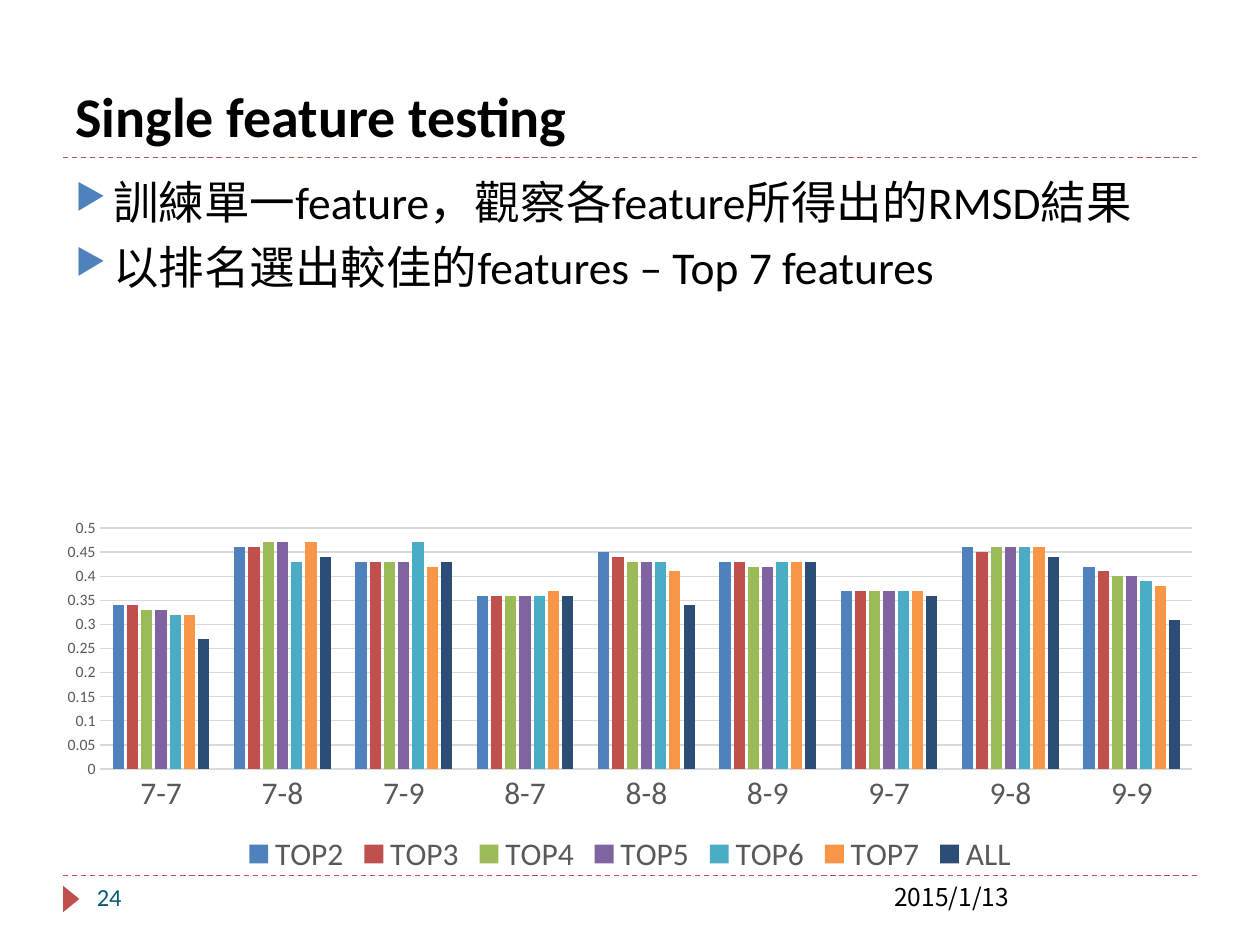
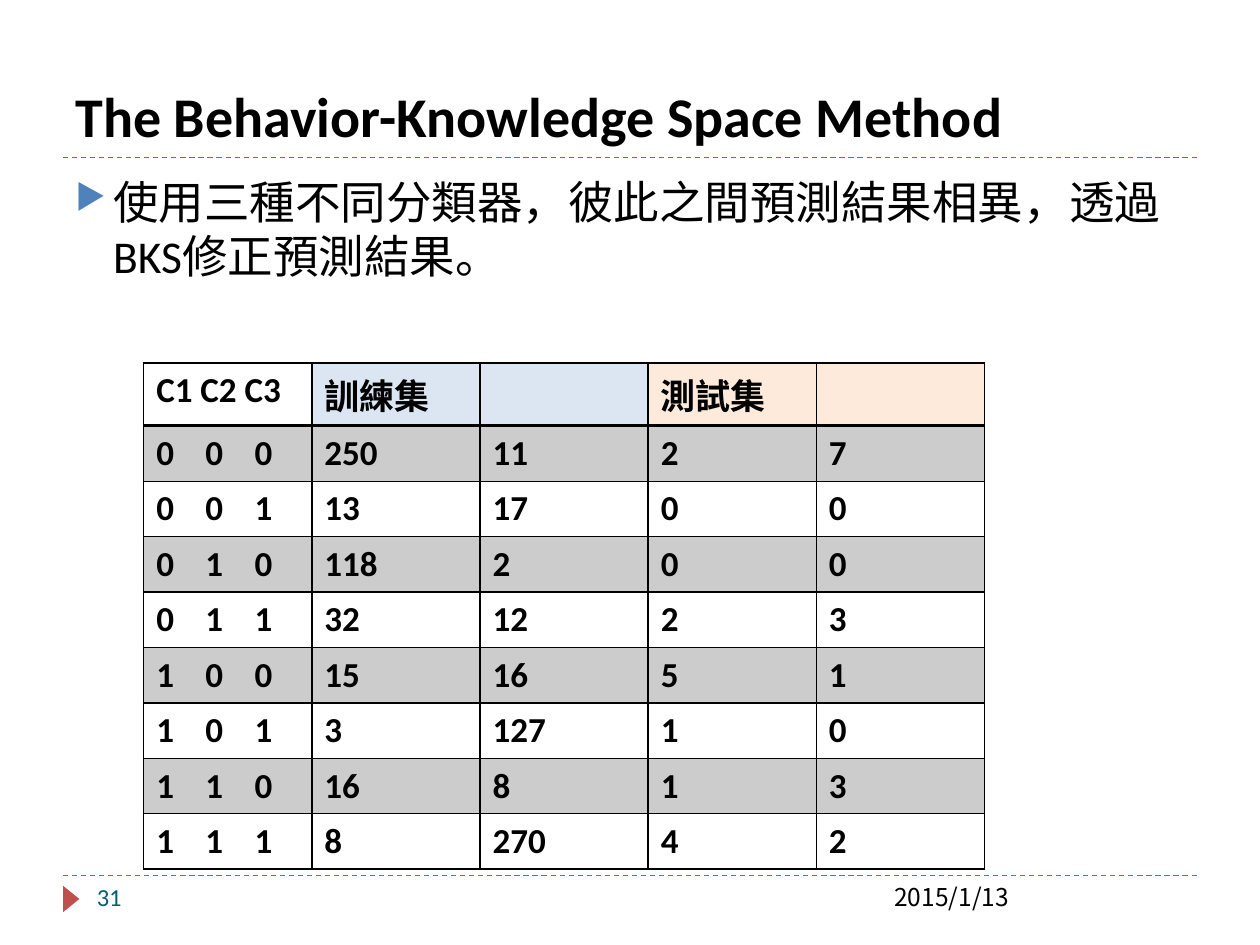
from dataclasses import dataclass

from lxml.etree import SubElement
from pptx import Presentation
from pptx.chart.data import CategoryChartData
from pptx.dml.color import RGBColor
from pptx.enum.chart import XL_CHART_TYPE, XL_LEGEND_POSITION, XL_TICK_MARK
from pptx.enum.dml import MSO_LINE
from pptx.enum.shapes import MSO_CONNECTOR, MSO_SHAPE
from pptx.enum.text import MSO_ANCHOR
from pptx.oxml.ns import qn
from pptx.util import Inches, Pt

# The page is a grid of 20 columns by 15 rows of half-inch squares
COLUMNS, ROWS = 20, 15
MARGIN = 1
CONTENT_WIDTH = COLUMNS - 2 * MARGIN
TITLE_RULE, FOOTER_RULE = 2.5, 13.9


@dataclass(frozen=True)
class Theme:
    font: str = "Calibri"
    date_font: str = "Noto Sans CJK SC"
    text: str = "000000"
    accent: str = "C0504D"
    bullet: str = "4F81BD"
    number: str = "045C75"
    chart_text: str = "595959"
    chart_line: str = "D9D9D9"
    training: str = "DCE6F2"
    testing: str = "FDEADA"
    series: tuple = ("4F81BD", "C0504D", "9BBB59", "8064A2",
                     "4BACC6", "F79646", "2C4D75")
    title_size: int = 32
    body_size: int = 26
    table_size: int = 20
    label_size: int = 18
    footer_size: int = 14
    axis_size: int = 9
    hairline: float = 0.75


THEME = Theme()
DATE = "2015/1/13"

RMSD_GROUPS = ("7-7", "7-8", "7-9", "8-7", "8-8", "8-9", "9-7", "9-8", "9-9")
RMSD_SERIES = {
    "TOP2": (0.34, 0.46, 0.43, 0.36, 0.45, 0.43, 0.37, 0.46, 0.42),
    "TOP3": (0.34, 0.46, 0.43, 0.36, 0.44, 0.43, 0.37, 0.45, 0.41),
    "TOP4": (0.33, 0.47, 0.43, 0.36, 0.43, 0.42, 0.37, 0.46, 0.40),
    "TOP5": (0.33, 0.47, 0.43, 0.36, 0.43, 0.42, 0.37, 0.46, 0.40),
    "TOP6": (0.32, 0.43, 0.47, 0.36, 0.43, 0.43, 0.37, 0.46, 0.39),
    "TOP7": (0.32, 0.47, 0.42, 0.37, 0.41, 0.43, 0.37, 0.46, 0.38),
    "ALL": (0.27, 0.44, 0.43, 0.36, 0.34, 0.43, 0.36, 0.44, 0.31),
}

BKS_HEADER = ("C1 C2 C3", "訓練集", "", "測試集", "")
BKS_HEADER_FILLS = (None, THEME.training, THEME.training,
                    THEME.testing, THEME.testing)
# Counts for each classifier combination, from 000 to 111
BKS_COUNTS = ((250, 11, 2, 7), (13, 17, 0, 0), (118, 2, 0, 0), (32, 12, 2, 3),
              (15, 16, 5, 1), (3, 127, 1, 0), (16, 8, 1, 3), (8, 270, 4, 2))


def grid(*squares):
    return [Inches(square / 2) for square in squares]


def color(value):
    return RGBColor.from_string(value)


def style_font(font, size, value, name=THEME.font, bold=False):
    font.size, font.name, font.bold = Pt(size), name, bold
    font.color.rgb = color(value)


# Text
def add_text(slide, place, text, size, value, name=THEME.font, bold=False,
             anchor=MSO_ANCHOR.TOP):
    frame = slide.shapes.add_textbox(*grid(*place)).text_frame
    frame.word_wrap = True
    frame.vertical_anchor = anchor
    paragraph = frame.paragraphs[0]
    paragraph.text = text
    style_font(paragraph.font, size, value, name, bold)


def add_bullet_mark(paragraph):
    properties = paragraph._p.get_or_add_pPr()
    properties.set("marL", str(Inches(0.3)))
    properties.set("indent", str(-Inches(0.3)))
    bullet_color = SubElement(properties, qn("a:buClr"))
    SubElement(bullet_color, qn("a:srgbClr"), val=THEME.bullet)
    SubElement(properties, qn("a:buSzPct"), val="76000")
    SubElement(properties, qn("a:buChar"), char="▶")


def add_bullets(slide, lines):
    place = grid(MARGIN, 2.66, CONTENT_WIDTH, 10.8)
    frame = slide.shapes.add_textbox(*place).text_frame
    frame.word_wrap = True
    for index, line in enumerate(lines):
        paragraph = frame.add_paragraph() if index else frame.paragraphs[0]
        paragraph.text = line
        add_bullet_mark(paragraph)
        if index:
            paragraph.space_before = Pt(6)
        style_font(paragraph.font, THEME.body_size, THEME.text)


# Shared frame: rules, footer and title
def add_rule(slide, row):
    rule = slide.shapes.add_connector(
        MSO_CONNECTOR.STRAIGHT, *grid(MARGIN, row, COLUMNS - MARGIN, row))
    rule.line.color.rgb = color(THEME.accent)
    rule.line.width = Pt(THEME.hairline)
    rule.line.dash_style = MSO_LINE.DASH
    SubElement(rule._element.spPr, qn("a:effectLst"))


def add_page_marker(slide):
    marker = slide.shapes.add_shape(
        MSO_SHAPE.ISOSCELES_TRIANGLE, *grid(0.92, 14.14, 0.42, 0.26))
    marker.rotation = 90
    marker.shadow.inherit = False
    marker.fill.solid()
    marker.fill.fore_color.rgb = color(THEME.accent)
    marker.line.fill.background()


def add_framed_slide(presentation, title, number):
    slide = presentation.slides.add_slide(presentation.slide_layouts[6])
    for row in (FOOTER_RULE, TITLE_RULE):
        add_rule(slide, row)
    add_page_marker(slide)
    add_text(slide, (14, FOOTER_RULE, 5, 0.8), DATE, THEME.footer_size,
             THEME.text, THEME.date_font)
    add_text(slide, (1.34, FOOTER_RULE, 4.34, 0.8), str(number),
             THEME.footer_size, THEME.number)
    add_text(slide, (MARGIN, 0.34, CONTENT_WIDTH, 2.12), title,
             THEME.title_size, THEME.text, bold=True, anchor=MSO_ANCHOR.BOTTOM)
    return slide


# Chart
def style_axis(axis, size):
    axis.major_tick_mark = axis.minor_tick_mark = XL_TICK_MARK.NONE
    style_font(axis.tick_labels.font, size, THEME.chart_text)


def style_chart_line(line):
    line.color.rgb = color(THEME.chart_line)
    line.width = Pt(THEME.hairline)


def add_column_chart(slide, place, categories, series_values):
    data = CategoryChartData()
    data.categories = categories
    for name, values in series_values.items():
        data.add_series(name, values)
    chart = slide.shapes.add_chart(
        XL_CHART_TYPE.COLUMN_CLUSTERED, *grid(*place), data).chart
    style_font(chart.font, 10, THEME.text)
    chart.has_title = False

    plot = chart.plots[0]
    plot.gap_width, plot.overlap = 219, -27
    plot.vary_by_categories = False
    for series, fill in zip(plot.series, THEME.series):
        series.format.fill.solid()
        series.format.fill.fore_color.rgb = color(fill)
        series.invert_if_negative = False

    style_axis(chart.category_axis, THEME.label_size)
    style_chart_line(chart.category_axis.format.line)
    value_axis = chart.value_axis
    style_axis(value_axis, THEME.axis_size)
    value_axis.minimum_scale, value_axis.maximum_scale = 0, 0.5
    value_axis.major_unit = 0.05
    value_axis.format.line.fill.background()
    style_chart_line(value_axis.major_gridlines.format.line)

    chart.has_legend = True
    chart.legend.position = XL_LEGEND_POSITION.BOTTOM
    chart.legend.include_in_layout = False
    style_font(chart.legend.font, THEME.label_size, THEME.chart_text)


# Table
def set_borders(cell, widths):
    properties = cell._tc.get_or_add_tcPr()
    for side, width in widths.items():
        line = SubElement(properties, qn(f"a:ln{side}"), w=str(Pt(width)))
        fill = SubElement(line, qn("a:solidFill"))
        SubElement(fill, qn("a:srgbClr"), val=THEME.text)


def set_fill(cell, value, alpha=None):
    if value is None:
        cell.fill.background()
        return
    cell.fill.solid()
    cell.fill.fore_color.rgb = color(value)
    if alpha:
        solid = cell._tc.tcPr.find(qn("a:solidFill"))
        SubElement(solid[0], qn("a:alpha"), val=str(alpha * 1000))


def set_cell_text(cell, text):
    paragraph = cell.text_frame.paragraphs[0]
    paragraph.text = text
    if "\t" in text:
        tabs = SubElement(paragraph._p.get_or_add_pPr(), qn("a:tabLst"))
        for stop in (0.39, 0.78):
            SubElement(tabs, qn("a:tab"), pos=str(Inches(stop)), algn="l")
    style_font(paragraph.font, THEME.table_size, THEME.text, bold=True)


def add_bks_table(slide, left, top):
    combinations = ["\t".join(f"{number:03b}") for number in range(8)]
    rows = [BKS_HEADER] + [
        (combination, *map(str, counts))
        for combination, counts in zip(combinations, BKS_COUNTS)]
    column_width, header_height, row_height = grid(2.67, 1, 0.88)
    table = slide.shapes.add_table(
        len(rows), len(BKS_HEADER), *grid(left, top),
        column_width * len(BKS_HEADER),
        header_height + row_height * len(BKS_COUNTS)).table
    table.first_row = table.horz_banding = False
    for column in table.columns:
        column.width = column_width

    for row_index, texts in enumerate(rows):
        table.rows[row_index].height = row_height if row_index else header_height
        for column_index, text in enumerate(texts):
            cell = table.cell(row_index, column_index)
            set_cell_text(cell, text)
            set_borders(cell, {"L": 1, "R": 1,
                               "T": 2 if row_index == 1 else 1,
                               "B": 2 if row_index == 0 else 1})
            if row_index == 0:
                set_fill(cell, BKS_HEADER_FILLS[column_index])
            elif row_index % 2:
                set_fill(cell, THEME.text, alpha=20)
            else:
                set_fill(cell, None)


def main():
    presentation = Presentation()
    presentation.slide_width, presentation.slide_height = grid(COLUMNS, ROWS)

    # Feature ranking
    slide = add_framed_slide(presentation, "Single feature testing", 24)
    add_bullets(slide, ("訓練單一feature，觀察各feature所得出的RMSD結果",
                        "以排名選出較佳的features – Top 7 features"))
    add_column_chart(slide, (0.7, 8.12, 18.6, 5.84), RMSD_GROUPS, RMSD_SERIES)

    # Classifier combination
    slide = add_framed_slide(
        presentation, "The Behavior-Knowledge Space Method", 31)
    add_bullets(slide, (
        "使用三種不同分類器，彼此之間預測結果相異，透過BKS修正預測結果。",))
    add_bks_table(slide, 2.28, 5.76)

    presentation.save("out.pptx")


if __name__ == "__main__":
    main()
